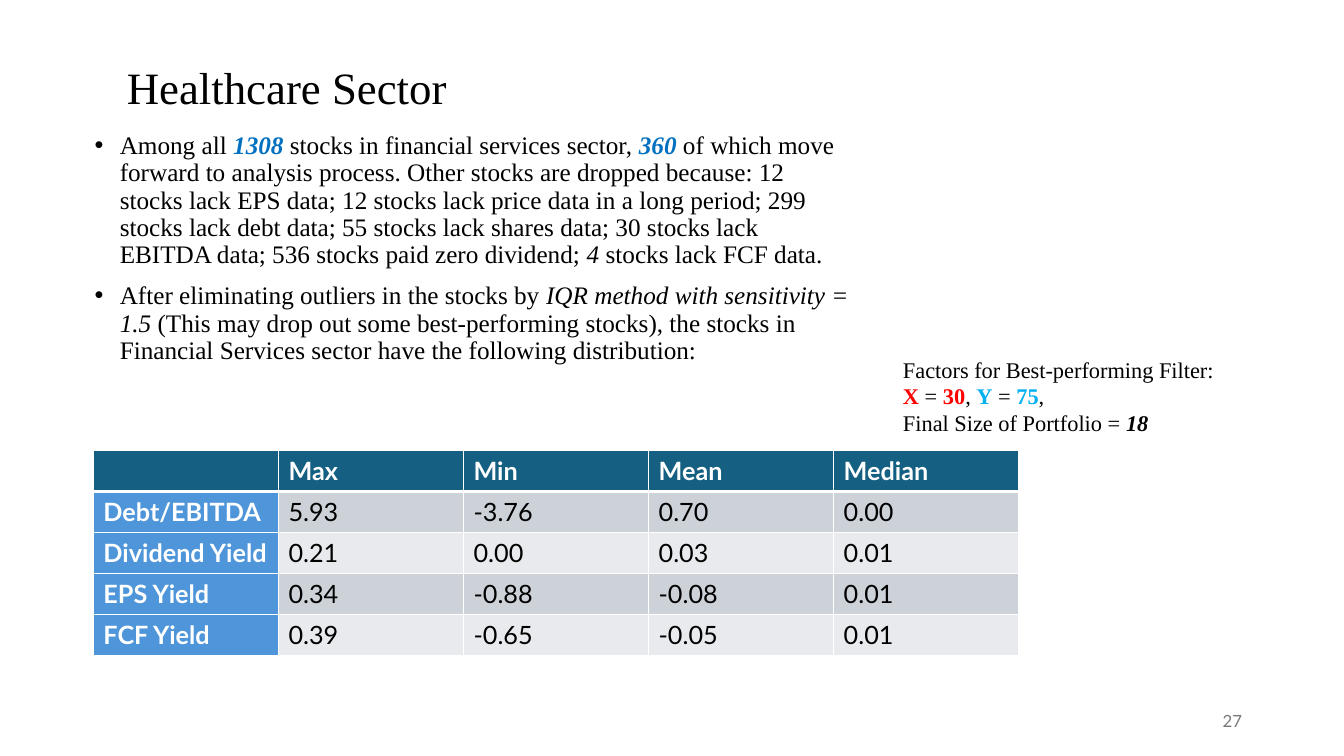
"""Build the Healthcare Sector slide."""
from lxml.etree import SubElement
from pptx import Presentation
from pptx.dml.color import RGBColor as Rgb
from pptx.enum.text import MSO_ANCHOR as Anchor, PP_ALIGN as Align
from pptx.oxml.ns import qn
from pptx.util import Inches, Pt

HUES = {"ink": "000000", "white": "FFFFFF", "blue": "0070C0", "red": "FF0000",
        "sky": "00B0F0", "gray": "797979", "head": "156082", "side": "4E95D9",
        "odd": "CCD2D8", "even": "E8EAED"}
SERIF, SANS = "Times New Roman", "Lato"
STYLES = {
    "plain": {},
    "ital": {"italic": True},
    "count": {"hue": "blue", "bold": True, "italic": True},
    "final": {"bold": True, "italic": True},
    "red": {"hue": "red", "bold": True},
    "sky": {"hue": "sky", "bold": True},
    "gray": {"hue": "gray"},
    "label": {"hue": "white", "bold": True},
}
TITLE = [[("Healthcare Sector", "plain")]]
BODY = [
    [("Among all ", "plain"), ("1308", "count"),
     (" stocks in financial services sector, ", "plain"), ("360", "count"),
     (" of which move forward to analysis process. Other stocks are dropped because: "
      "12 stocks lack EPS data; 12 stocks lack price data in a long period; "
      "299 stocks lack debt data; 55 stocks lack shares data; 30 stocks lack EBITDA data; "
      "536 stocks paid zero dividend; ", "plain"),
     ("4", "ital"), (" stocks lack FCF data.", "plain")],
    [("After eliminating outliers in the stocks by ", "plain"),
     ("IQR method with sensitivity = 1.5 ", "ital"),
     ("(This may drop out some best-performing stocks), the stocks in "
      "Financial Services sector have the following distribution:", "plain")],
]
FACTORS = [
    [("Factors for Best-performing Filter:", "plain")],
    [("X", "red"), (" = ", "plain"), ("30", "red"), (", ", "plain"),
     ("Y", "sky"), (" = ", "plain"), ("75", "sky"), (",", "plain")],
    [("Final Size of Portfolio = ", "plain"), ("18", "final")],
]
NUMBER = [[("27", "gray")]]
TABLE = [
    ("", "Max", "Min", "Mean", "Median"),
    ("Debt/EBITDA", "5.93", "-3.76", "0.70", "0.00"),
    ("Dividend Yield", "0.21", "0.00", "0.03", "0.01"),
    ("EPS Yield", "0.34", "-0.88", "-0.08", "0.01"),
    ("FCF Yield", "0.39", "-0.65", "-0.05", "0.01"),
]

TIGHT = {"line_spacing": 0.9}
BOXES = [
    (TITLE, (8.7, 2, 36.75, 19.73), SERIF, 32, Anchor.MIDDLE, TIGHT, False),
    (BODY, (6.3, 16.93, 57.98, 39.33), SERIF, 18, Anchor.TOP, TIGHT, True),
    (NUMBER, (70.65, 92.67, 22.5, 5.33), SANS, 12, Anchor.MIDDLE,
     {"alignment": Align.RIGHT}, False),
    (FACTORS, (66.45, 46.4, 26.7, 12.13), SERIF, 16, Anchor.TOP, {}, False),
]
GRID = (6.95, 59.6, 68.85, 27.15)

deck = Presentation()
deck.slide_width, deck.slide_height = Inches(13.33), Inches(7.5)
slide = deck.slides.add_slide(deck.slide_layouts[6])


def place(share):
    """Turn percent shares into slide lengths."""
    sides = (deck.slide_width, deck.slide_height) * 2
    return [int(part * side / 100) for part, side in zip(share, sides)]


def write(para, text, style, face, size):
    """Add one styled run."""
    run = para.add_run()
    run.text = text
    look = {"name": face, "size": Pt(size), "bold": False, "italic": False, **STYLES[style]}
    run.font.color.rgb = Rgb.from_string(HUES[look.pop("hue", "ink")])
    for key, value in look.items():
        setattr(run.font, key, value)


def bullet(para):
    """Give a paragraph a hanging bullet."""
    props = para._p.get_or_add_pPr()
    props.set("marL", str(Inches(0.25)))
    props.set("indent", str(-Inches(0.25)))
    SubElement(props, qn("a:buFont"), typeface="Arial")
    SubElement(props, qn("a:buChar"), char="•")


def edge(cell, side, width):
    """Draw one white cell border."""
    line = SubElement(cell._tc.get_or_add_tcPr(), qn("a:" + side), w=str(Pt(width)))
    fill = SubElement(line, qn("a:solidFill"))
    SubElement(fill, qn("a:srgbClr"), val=HUES["white"])


for lines, share, face, size, anchor, form, dots in BOXES:
    frame = slide.shapes.add_textbox(*place(share)).text_frame
    frame.word_wrap, frame.vertical_anchor = True, anchor
    for i, line in enumerate(lines):
        para = frame.add_paragraph() if i else frame.paragraphs[0]
        if dots:
            bullet(para)
            if i:
                para.space_before = Pt(10)
        for key, value in form.items():
            setattr(para, key, value)
        for text, style in line:
            write(para, text, style, face, size)

rows, cols = len(TABLE), len(TABLE[0])
table = slide.shapes.add_table(rows, cols, *place(GRID)).table
for r, row in enumerate(TABLE):
    for c, text in enumerate(row):
        cell = table.cell(r, c)
        for side in ("lnL", "lnR", "lnT", "lnB"):
            thick = (r, side) in ((0, "lnB"), (1, "lnT"))
            edge(cell, side, 3 if thick else 1)
        hue = "head" if r == 0 else "side" if c == 0 else "odd" if r % 2 else "even"
        cell.fill.solid()
        cell.fill.fore_color.rgb = Rgb.from_string(HUES[hue])
        if text:
            style = "plain" if r and c else "label"
            write(cell.text_frame.paragraphs[0], text, style, SANS, 18)

deck.save("out.pptx")
